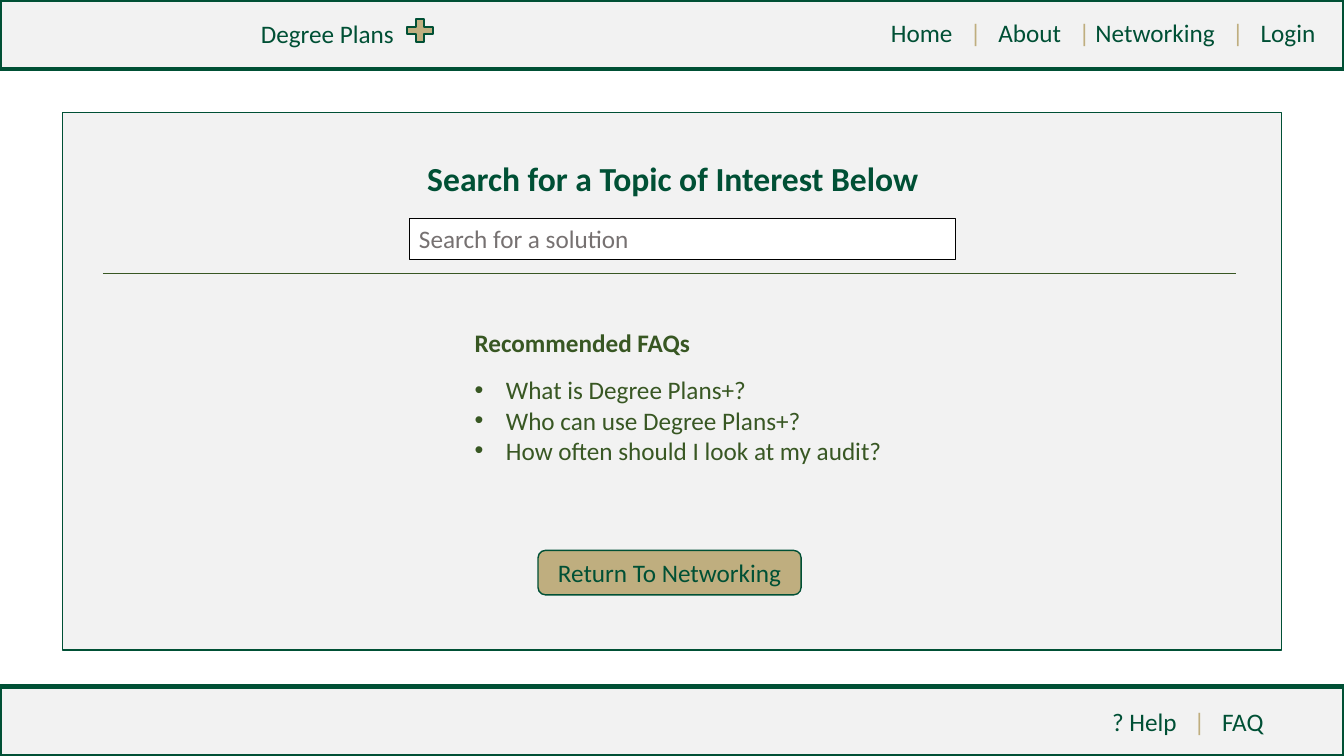
from lxml import etree
from pptx import Presentation
from pptx.dml.color import RGBColor
from pptx.enum.shapes import MSO_CONNECTOR, MSO_SHAPE
from pptx.enum.text import MSO_ANCHOR, PP_ALIGN
from pptx.oxml.ns import qn
from pptx.util import Cm, Pt

RECT, ROUND = MSO_SHAPE.RECTANGLE, MSO_SHAPE.ROUNDED_RECTANGLE
PLUS, LINE = MSO_SHAPE.MATH_PLUS, MSO_CONNECTOR.STRAIGHT
LEFT, MID = PP_ALIGN.LEFT, PP_ALIGN.CENTER
TOP, CENTRE = MSO_ANCHOR.TOP, MSO_ANCHOR.MIDDLE

COLORS = {"green": "005035", "gold": "BFAE7F", "panel": "F2F2F2",
          "olive": "385723", "white": "FFFFFF", "black": "000000",
          "hint": "767171"}
WIDE, HIGH = 33.87, 19.05
BAR, PAD = 1.75, 0.25

BRAND = "Degree Plans"
TITLE = "Search for a Topic of Interest Below"
HINT = "Search for a solution"
BUTTON = "Return To Networking"
HEAD = "Recommended FAQs"
FAQS = [f"What is {BRAND}+?", f"Who can use {BRAND}+?",
        "How often should I look at my audit?"]
# Menu entries with the centre of each, in cm from the slide's left edge
TOPNAV = [("Home", 23.23), ("|", 24.59), ("About", 25.95), ("|", 27.33),
          ("Networking", 29.11), ("|", 31.2), ("Login", 32.46)]
FOOTNAV = [("? Help", 28.84), ("|", 30.23), ("FAQ", 31.32)]


def rgb(name):
    return RGBColor.from_string(COLORS[name])


def style(para, color="green", size=18, bold=False):
    font = para.font
    font.name, font.size, font.bold = "Calibri", Pt(size), bold
    font.color.rgb = rgb(color)


def add_box(kind, box, fill, edge, weight):
    shape = slide.shapes.add_shape(kind, *map(Cm, box))
    shape.shadow.inherit = False
    shape.fill.solid()
    shape.fill.fore_color.rgb = rgb(fill)
    shape.line.color.rgb = rgb(edge)
    shape.line.width = Pt(weight)
    return shape


def write(shape, text, align=MID, anchor=TOP, **look):
    frame = shape.text_frame
    frame.word_wrap, frame.vertical_anchor = True, anchor
    para = frame.paragraphs[0]
    para.text, para.alignment = text, align
    style(para, **look)
    return frame


def add_text(box, text, **look):
    return write(slide.shapes.add_textbox(*map(Cm, box)), text, **look)


def add_menu(box, items):
    """One line of entries, each centred on its own tab stop."""
    para = add_text(box, "", align=LEFT).paragraphs[0]
    stops = etree.Element(qn("a:tabLst"))
    para._p.get_or_add_pPr().insert(0, stops)
    for word, mid in items:
        etree.SubElement(stops, qn("a:tab"), algn="ctr",
                         pos=str(Cm(mid - box[0] - PAD)))
        run = para.add_run()
        run.text = "\t" + word
        run.font.color.rgb = rgb("gold" if word == "|" else "green")


def add_bullet(frame, text):
    para = frame.add_paragraph()
    para.text = text
    props = para._p.get_or_add_pPr()
    props.set("marL", str(Cm(0.79)))
    props.set("indent", str(-Cm(0.79)))
    etree.SubElement(props, qn("a:buFont"), typeface="Arial")
    etree.SubElement(props, qn("a:buChar"), char="•")
    style(para, "olive")


deck = Presentation()
deck.slide_width, deck.slide_height = Cm(WIDE), Cm(HIGH)
slide = deck.slides.add_slide(deck.slide_layouts[6])

for top in (HIGH - BAR, 0):
    add_box(RECT, (0, top, WIDE, BAR), "panel", "green", 3)
add_menu((21.77, 0.3, 12.1, 1.02), TOPNAV)
add_text((3.07, 0.33, 10.36, 1.02), BRAND)
add_menu((27.53, 17.68, 4.78, 1.02), FOOTNAV)

add_box(RECT, (1.57, 2.84, 30.73, 13.54), "panel", "green", 1)
button = add_box(ROUND, (13.56, 13.87, 6.63, 1.12), "gold", "green", 1)
write(button, BUTTON, anchor=CENTRE)
add_box(PLUS, (10.13, 0.38, 0.91, 0.79), "gold", "green", 1.5)

faq = add_text((11.71, 8.13, 10.9, 5.05), HEAD, align=LEFT,
               color="olive", bold=True)
faq.paragraphs[0].space_after = Pt(12)
for line in FAQS:
    add_bullet(faq, line)

add_text((9.07, 3.86, 15.77, 1.27), TITLE, size=24, bold=True)
search = add_box(RECT, (10.31, 5.51, 13.77, 1.02), "white", "black", 0.75)
write(search, HINT, align=LEFT, color="hint")

rule = slide.shapes.add_connector(LINE, Cm(2.59), Cm(6.9), Cm(31.14), Cm(6.9))
rule.line.color.rgb = rgb("olive")
rule.line.width = Pt(0.5)
etree.SubElement(rule._element.spPr, qn("a:effectLst"))

deck.save("out.pptx")
